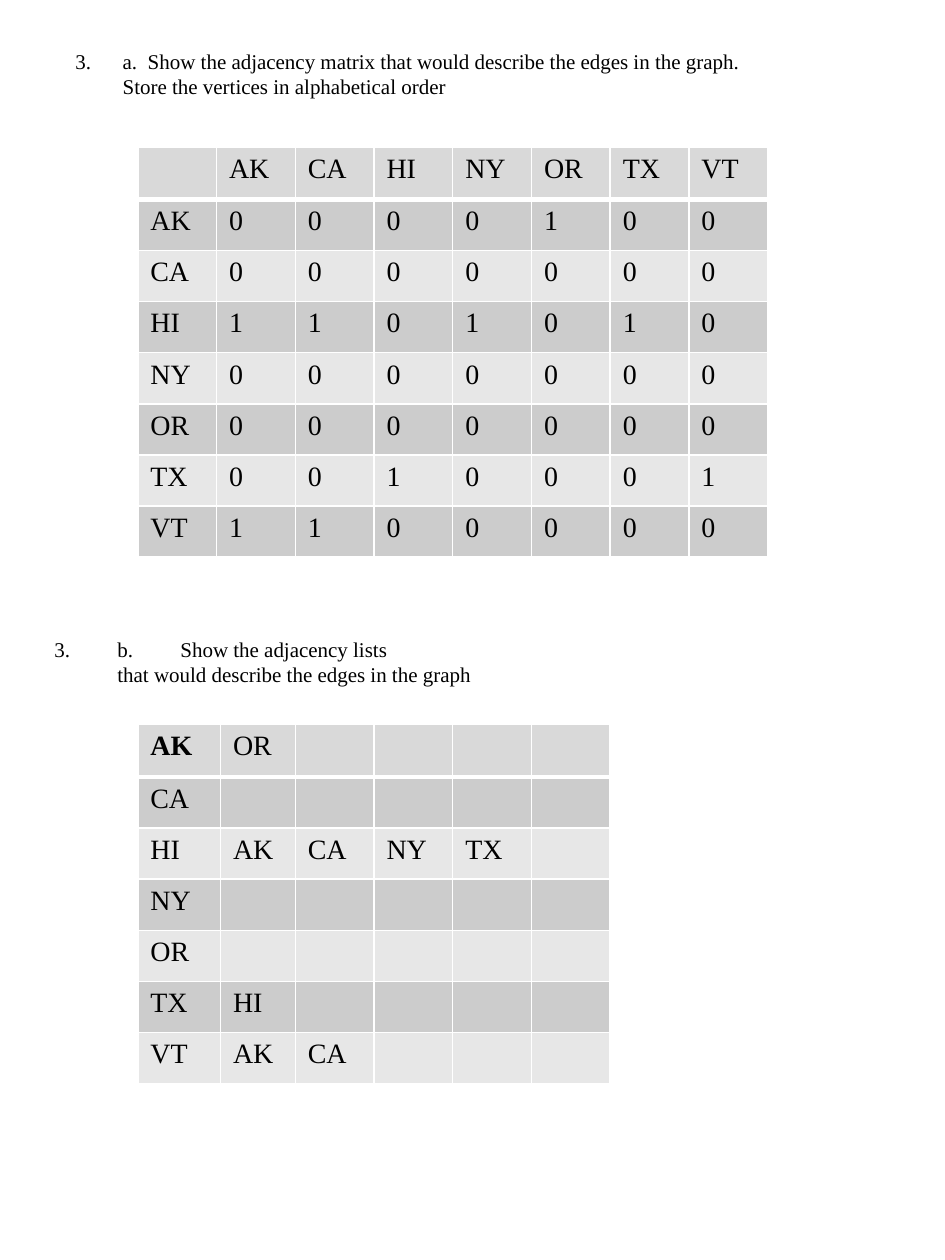
from pptx import Presentation
from pptx.dml.color import RGBColor
from pptx.enum.text import MSO_AUTO_SIZE
from pptx.oxml.ns import qn
from pptx.util import Pt
from lxml import etree

FIT_SHAPE = MSO_AUTO_SIZE.SHAPE_TO_FIT_TEXT
COLORS = {"text": "000000", "border": "FFFFFF", "header": "D9D9D9",
          "odd": "CCCCCC", "even": "E7E7E7"}
STATES = ["AK", "CA", "HI", "NY", "OR", "TX", "VT"]
MATRIX = ["0000100", "0000000", "1101010", "0000000",
          "0000000", "0010001", "1100000"]
LISTS = [["OR"], [], ["AK", "CA", "NY", "TX"], [], [], ["HI"], ["AK", "CA"]]
HEADER_HEIGHT, ROW_HEIGHT, COL_WIDTH = 30, 29.2, 45


class Sheet:
    """Holds the text style and the current slide."""

    def __init__(self, slide):
        self.s = slide
        self.font = {"name": "Times New Roman", "bold": False}

    def add_text(self, p, text, size, **changes):
        r = p.add_run()
        r.text = text
        for name, value in {**self.font, "size": Pt(size), **changes}.items():
            setattr(r.font, name, value)
        r.font.color.rgb = RGBColor.from_string(COLORS["text"])

    def textbox(self, left, top, width, height, lines, indent, wrap):
        """Add a text box whose first line hangs out by the indent."""
        tf = self.s.shapes.add_textbox(
            Pt(left), Pt(top), Pt(width), Pt(height)).text_frame
        tf.word_wrap, tf.auto_size = wrap, FIT_SHAPE
        for i, line in enumerate(lines):
            p = tf.add_paragraph() if i else tf.paragraphs[0]
            self.add_text(p, line, 12)
            pPr = p._p.get_or_add_pPr()
            pPr.set("marL", str(Pt(indent)))
            pPr.set("indent", str(0 if i else -Pt(indent)))
        return tf

    def number(self, p, start):
        pPr = p._p.get_or_add_pPr()
        etree.SubElement(pPr, qn("a:buFont"), typeface=self.font["name"])
        etree.SubElement(pPr, qn("a:buAutoNum"), type="arabicPeriod",
                         startAt=str(start))

    def tab_stops(self, p, *positions):
        tabs = etree.SubElement(p._p.get_or_add_pPr(), qn("a:tabLst"))
        for pos in positions:
            etree.SubElement(tabs, qn("a:tab"), pos=str(Pt(pos)), algn="l")

    def border(self, cell, side, width):
        ln = etree.SubElement(cell._tc.get_or_add_tcPr(), qn(f"a:ln{side}"),
                              w=str(Pt(width)))
        fill = etree.SubElement(ln, qn("a:solidFill"))
        etree.SubElement(fill, qn("a:srgbClr"), val=COLORS["border"])

    def table(self, left, top, widths, rows, bold_cells=()):
        heights = [HEADER_HEIGHT] + [ROW_HEIGHT] * (len(rows) - 1)
        table = self.s.shapes.add_table(
            len(rows), len(widths), Pt(left), Pt(top),
            Pt(sum(widths)), Pt(sum(heights))).table
        table.horz_banding = False
        for col, width in zip(table.columns, widths):
            col.width = Pt(width)
        for i, (row, height) in enumerate(zip(table.rows, heights)):
            row.height = Pt(height)
            band = "header" if i == 0 else "odd" if i % 2 else "even"
            for j, cell in enumerate(row.cells):
                for side in "LRTB":
                    thick = (i, side) in ((0, "B"), (1, "T"))
                    self.border(cell, side, 3 if thick else 1)
                cell.fill.solid()
                cell.fill.fore_color.rgb = RGBColor.from_string(COLORS[band])
                if j < len(rows[i]) and rows[i][j]:
                    self.add_text(cell.text_frame.paragraphs[0], rows[i][j],
                                  16, bold=(i, j) in bold_cells)


def main():
    prs = Presentation()
    prs.slide_width, prs.slide_height = Pt(540), Pt(720)
    sheet = Sheet(prs.slides.add_slide(prs.slide_layouts[6]))

    tf = sheet.textbox(24, 360, 253.5, 36, [
        "3.\tb.\tShow the adjacency lists",
        "that would describe the edges in the graph"], 36, False)
    sheet.tab_stops(tf.paragraphs[0], 18, 36)

    tf = sheet.textbox(36, 24, 420, 36, [
        "a.  Show the adjacency matrix that would describe the edges in the "
        "graph. Store the vertices in alphabetical order"], 27, True)
    sheet.number(tf.paragraphs[0], 3)

    matrix_rows = [[state, *bits] for state, bits in zip(STATES, MATRIX)]
    sheet.table(78.75, 84, [COL_WIDTH] * 8, [["", *STATES]] + matrix_rows)

    list_rows = [[state, *ends] for state, ends in zip(STATES, LISTS)]
    sheet.table(78.75, 414, [47.25, 42.75] + [COL_WIDTH] * 4, list_rows,
                bold_cells=[(0, 0)])

    prs.save("out.pptx")


if __name__ == "__main__":
    main()
